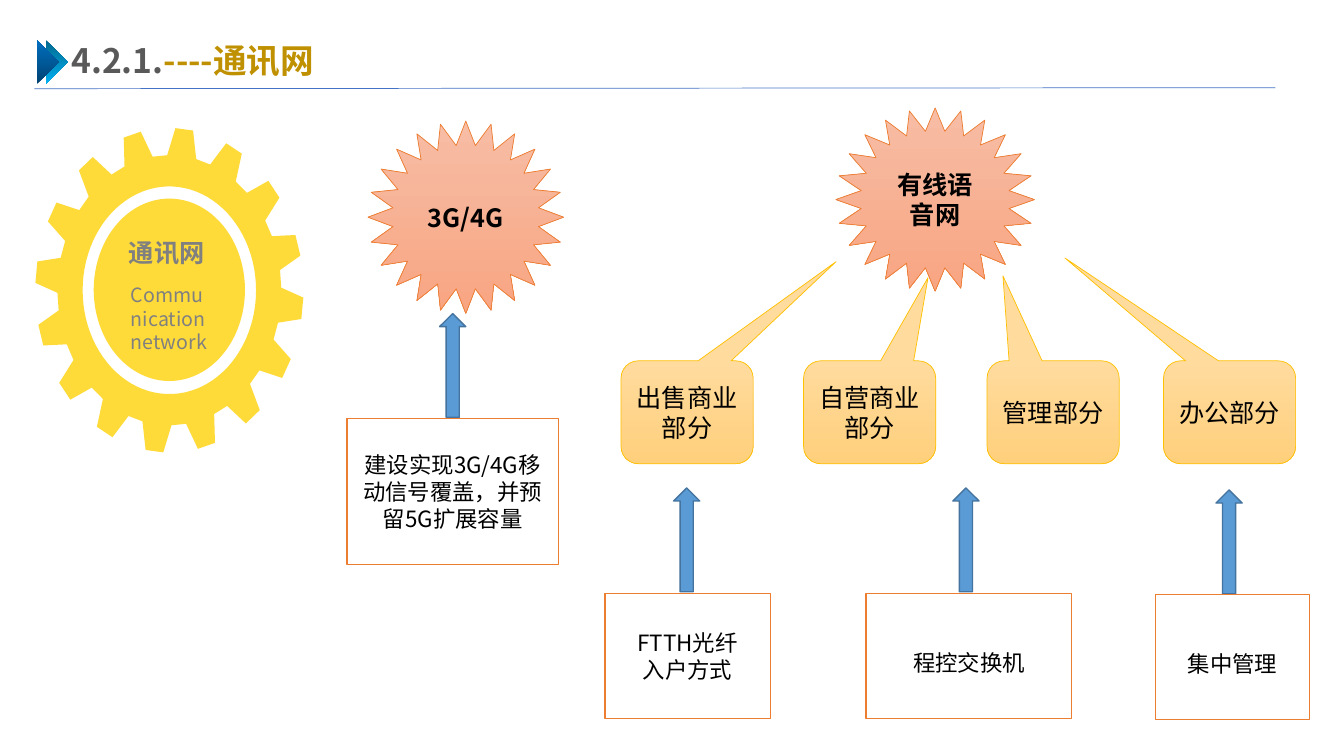
from math import cos, radians, sin

from lxml.etree import SubElement
from pptx import Presentation
from pptx.dml.color import RGBColor
from pptx.enum.shapes import MSO_CONNECTOR, MSO_SHAPE
from pptx.enum.text import MSO_ANCHOR, PP_ALIGN
from pptx.oxml.ns import qn
from pptx.util import Inches, Pt

FONT = "Noto Sans CJK SC"
YELLOW, ORANGE = "FFDB39", "ED7D31"
rgb = RGBColor.from_string


def paint(sp, colors, line=None, width=0.5, angle=270):
    sp.shadow.inherit = False
    if len(colors) == 2:
        sp.fill.gradient()
        sp.fill.gradient_angle = angle
        for stop, color in zip(sp.fill.gradient_stops, colors):
            stop.color.rgb = rgb(color)
    else:
        sp.fill.solid()
        sp.fill.fore_color.rgb = rgb(colors[0])
    if line:
        sp.line.color.rgb = rgb(line)
        sp.line.width = Pt(width)
    else:
        sp.line.fill.background()


def write(sp, lines, size, color="000000", bold=False, align=PP_ALIGN.CENTER, spacing=None):
    tf = sp.text_frame
    tf.word_wrap = True
    for i, line in enumerate(lines):
        p = tf.add_paragraph() if i else tf.paragraphs[0]
        p.alignment = align
        if spacing:
            p.line_spacing = spacing
        for text, run_color in line if isinstance(line, list) else [(line, None)]:
            r = p.add_run()
            r.text = text
            if run_color:
                r.font.color.rgb = rgb(run_color)
        p.font.size = Pt(size)
        p.font.bold = bold
        p.font.color.rgb = rgb(color)
        p.font.name = FONT
        SubElement(p.font._element, qn("a:ea"), typeface=FONT)


prs = Presentation()
prs.slide_width, prs.slide_height = Inches(13.33), Inches(7.5)
s = prs.slides.add_slide(prs.slide_layouts[6])

for x, colors, angle in [(0.3, ["00688E", "00B0F0"], 135), (0.21, ["004272", "0070C0"], 315)]:
    sp = s.shapes.add_shape(MSO_SHAPE.RIGHT_TRIANGLE, Inches(x), Inches(0.46), Inches(0.31), Inches(0.31))
    sp.rotation = 225
    paint(sp, colors, angle=angle)

rule = s.shapes.add_connector(MSO_CONNECTOR.STRAIGHT, Inches(0.34), Inches(0.88), Inches(12.65), Inches(0.87))
rule.line.color.rgb = rgb("4472C4")
rule.line.width = Pt(0.5)
SubElement(rule._element.spPr, qn("a:effectLst"))

title = s.shapes.add_textbox(Inches(0.61), Inches(0.35), Inches(2.71), Inches(0.5))
write(title, [[("4.2.1.", "595959"), ("----通讯网", "BF9000")]], 24, bold=True, align=PP_ALIGN.LEFT)
title.text_frame.word_wrap = False

cx, cy = 1.68, 2.88
tip, root, hole = (1.33, 1.61), (1.11, 1.34), (0.86, 1.03)
teeth = 16
rim = []
for i in range(teeth):
    middle = 6.4 + i * 360 / teeth
    rim += [(root, middle - 7.5), (tip, middle - 3.8), (tip, middle + 3.8), (root, middle + 7.5)]
contours = [rim, [(hole, -a) for a in range(0, 360, 4)]]
outlines = [
    [(Inches(cx + rx * cos(radians(a))), Inches(cy + ry * sin(radians(a)))) for (rx, ry), a in contour]
    for contour in contours
]
gear = s.shapes.build_freeform(*outlines[0][0])
gear.add_line_segments(outlines[0][1:])
gear.move_to(*outlines[1][0])
gear.add_line_segments(outlines[1][1:])
paint(gear.convert_to_shape(), [YELLOW])

hub = s.shapes.add_shape(MSO_SHAPE.OVAL, Inches(0.93), Inches(1.97), Inches(1.5), Inches(1.81))
paint(hub, [YELLOW])
for x, y, w, h, text, size, bold in [
    (1.18, 2.31, 0.96, 0.49, "通讯网", 18, True),
    (1.2, 2.76, 0.98, 0.98, "Communication network", 14, False),
]:
    sp = s.shapes.add_textbox(Inches(x), Inches(y), Inches(w), Inches(h))
    write(sp, [text], size, "808080", bold, PP_ALIGN.LEFT)
    sp.text_frame.word_wrap = not bold

for x, y, w, h, text in [(3.65, 1.2, 1.94, 1.91, "3G/4G"), (8.29, 1.07, 1.97, 1.82, "有线语音网")]:
    sp = s.shapes.add_shape(MSO_SHAPE.STAR_24_POINT, Inches(x), Inches(y), Inches(w), Inches(h))
    paint(sp, ["F7BDA5", "F8A582"], ORANGE)
    write(sp, [text], 18, bold=True)
    sp.text_frame.vertical_anchor = MSO_ANCHOR.MIDDLE

for x, dx, dy, text in [
    (6.16, 1.129, -1.466, "出售商业部分"),
    (7.97, 0.442, -1.31, "自营商业部分"),
    (9.79, -0.38, -1.327, "管理部分"),
    (11.54, -1.247, -1.501, "办公部分"),
]:
    sp = s.shapes.add_shape(MSO_SHAPE.ROUNDED_RECTANGULAR_CALLOUT, Inches(x), Inches(3.58), Inches(1.31), Inches(1.02))
    sp.adjustments[0], sp.adjustments[1] = dx, dy
    paint(sp, ["FFDB9E", "FFD07C"], "FFC000")
    write(sp, [text], 18)
    sp.text_frame.vertical_anchor = MSO_ANCHOR.MIDDLE

for arrow_x, arrow_y, x, y, w, h, lines, spacing in [
    (6.68, 4.84, 6, 5.89, 1.64, 1.24, ["FTTH光纤", "入户方式"], None),
    (9.45, 4.84, 8.59, 5.89, 2.04, 1.24, ["程控交换机"], 1.5),
    (12.06, 4.86, 11.46, 5.9, 1.53, 1.24, ["集中管理"], 1.5),
    (4.36, 3.11, 3.44, 4.15, 2.1, 1.45, ["建设实现3G/4G移动信号覆盖，并预留5G扩展容量"], None),
]:
    arrow = s.shapes.add_shape(MSO_SHAPE.DOWN_ARROW, Inches(arrow_x), Inches(arrow_y), Inches(0.26), Inches(1.03))
    arrow.rotation = 180
    paint(arrow, ["5B9BD5"], "43739E", 1)
    box = s.shapes.add_shape(MSO_SHAPE.RECTANGLE, Inches(x), Inches(y), Inches(w), Inches(h))
    paint(box, ["FFFFFF"], ORANGE, 1)
    write(box, lines, 16, spacing=spacing)
    box.text_frame.vertical_anchor = MSO_ANCHOR.MIDDLE

prs.save("out.pptx")
